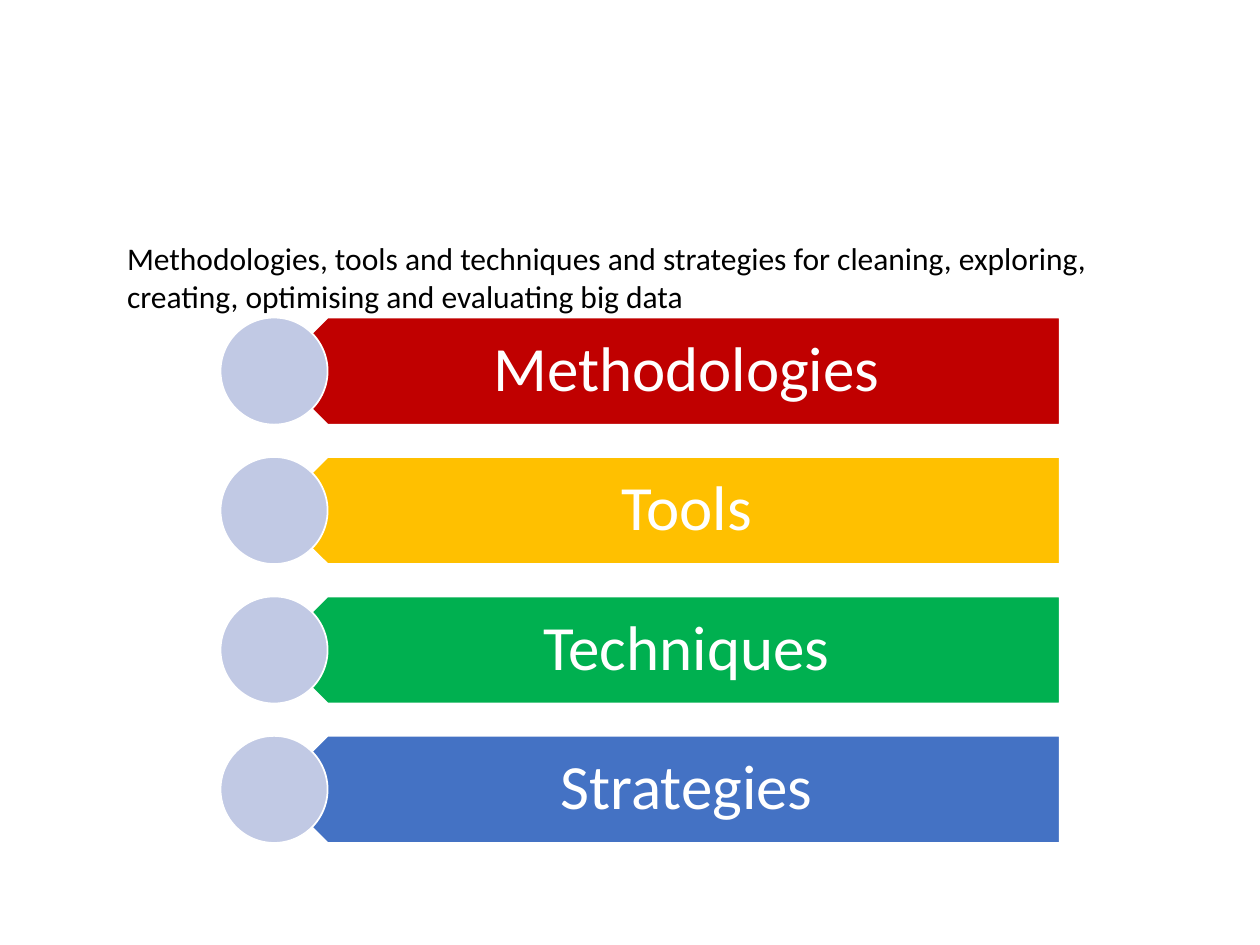
from pptx import Presentation
from pptx.dml.color import RGBColor as RGB
from pptx.enum.shapes import MSO_SHAPE as Shape
from pptx.enum.text import MSO_ANCHOR as Anchor, PP_ALIGN as Align
from pptx.util import Inches, Pt

WHITE = RGB(0xFF, 0xFF, 0xFF)
BLACK = RGB(0x00, 0x00, 0x00)
PALE = RGB(0xC1, 0xC9, 0xE4)
RED = RGB(0xC0, 0x00, 0x00)
GOLD = RGB(0xFF, 0xC0, 0x00)
GREEN = RGB(0x00, 0xB0, 0x50)
BLUE = RGB(0x44, 0x72, 0xC4)

FONT = "Calibri"
INTRO = ("Methodologies, tools and techniques and strategies for cleaning, "
         "exploring, creating, optimising and evaluating big data")
ROWS = [("Methodologies", RED), ("Tools", GOLD),
        ("Techniques", GREEN), ("Strategies", BLUE)]


def add_form(slide, kind, box, color):
    form = slide.shapes.add_shape(kind, *box)
    form.shadow.inherit = False
    form.fill.solid()
    form.fill.fore_color.rgb = color
    form.line.color.rgb = WHITE
    form.line.width = Pt(1)
    return form


def add_text(slide, box, text, size, color):
    frame = slide.shapes.add_textbox(*box).text_frame
    frame.word_wrap = True
    para = frame.paragraphs[0]
    para.text = text
    para.font.name = FONT
    para.font.size = Pt(size)
    para.font.color.rgb = color
    return frame


def add_row(slide, box, label, color):
    left, top, width, height = box
    mid = left + height // 2
    right = left + width
    arrow = add_form(slide, Shape.PENTAGON, (mid, top, right - mid, height), color)
    arrow.rotation = 180

    start = mid + height // 4
    frame = add_text(slide, (start, top, right - start, height), label, 36, WHITE)
    frame.vertical_anchor = Anchor.MIDDLE
    frame.margin_left = Inches(0.38)
    frame.margin_right = Inches(0.28)
    frame.margin_top = frame.margin_bottom = Inches(0.15)
    para = frame.paragraphs[0]
    para.alignment = Align.CENTER
    para.line_spacing = 0.9

    add_form(slide, Shape.OVAL, (left, top, height, height), PALE)


def add_list(slide, box, rows):
    left, top, width, height = box
    tall = Inches(0.85)
    step = (height - tall) // (len(rows) - 1)
    for i, (label, color) in enumerate(rows):
        add_row(slide, (left, top + i * step, width, tall), label, color)


def main():
    deck = Presentation()
    deck.slide_width = Inches(10)
    deck.slide_height = Inches(7.5)
    slide = deck.slides.add_slide(deck.slide_layouts[6])
    add_list(slide, (Inches(1.75), Inches(2.52), Inches(6.66), Inches(4.17)), ROWS)
    add_text(slide, (Inches(0.91), Inches(1.85), Inches(8.68), Inches(1.01)),
             INTRO, 18, BLACK)
    deck.save("out.pptx")


if __name__ == "__main__":
    main()
